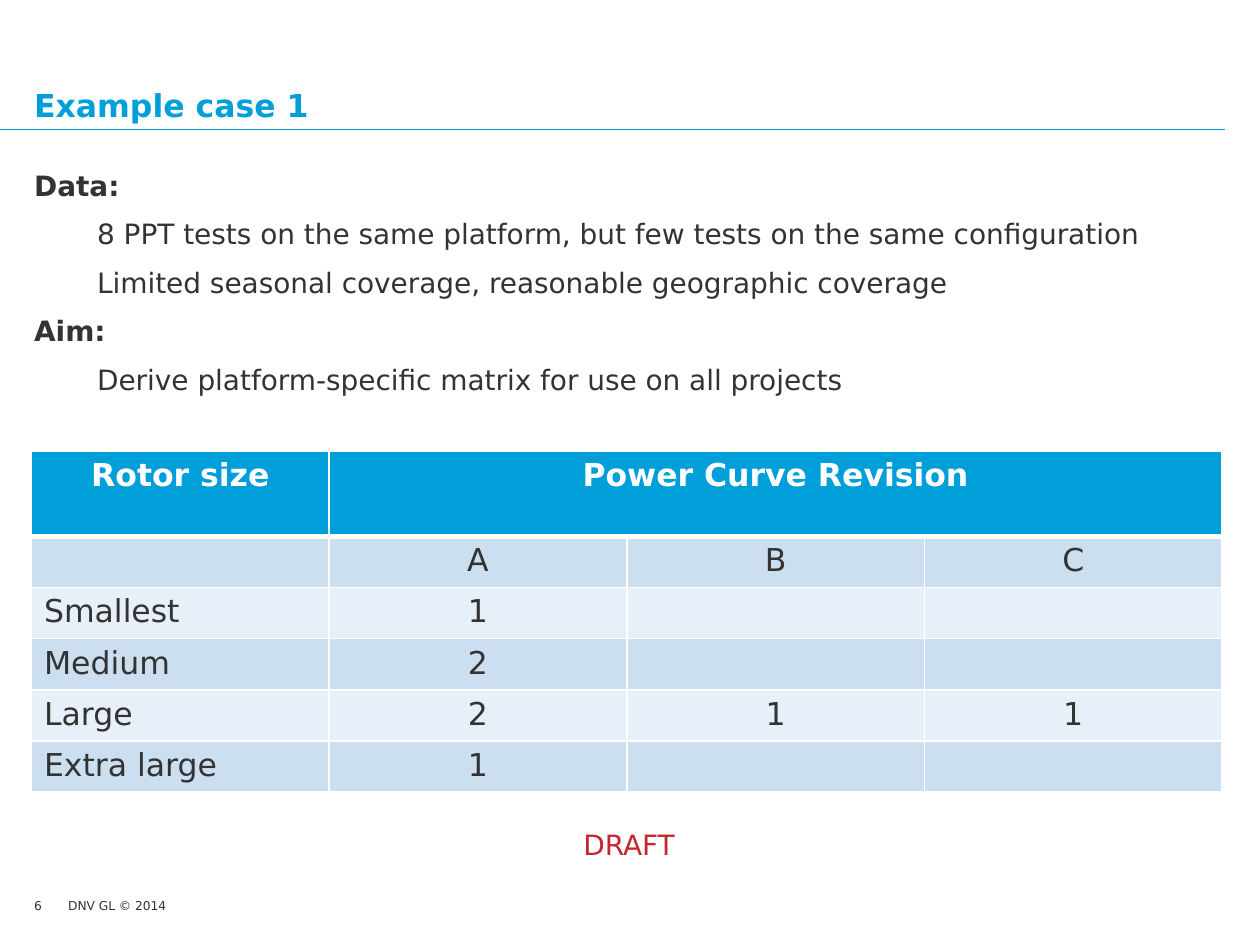
import pptx
import pptx.util
import pptx.dml.color
import pptx.enum.shapes
import pptx.enum.text
import pptx.oxml.ns
from lxml import etree

Pt = pptx.util.Pt
ALIGN = pptx.enum.text.PP_ALIGN
ANCHOR = pptx.enum.text.MSO_ANCHOR
FONT = "DejaVu Sans"
COLORS = {
    "accent": "009FDA",
    "text": "333333",
    "white": "FFFFFF",
    "draft": "C4262E",
    "band_dark": "CCDFF1",
    "band_light": "E7F0F8",
}
BODY = [
    ("Data:", True),
    ("8 PPT tests on the same platform, but few tests on the same configuration", False),
    ("Limited seasonal coverage, reasonable geographic coverage", False),
    ("Aim:", True),
    ("Derive platform-specific matrix for use on all projects", False),
]
ROWS = [
    ["Rotor size", "Power Curve Revision", "", ""],
    ["", "A", "B", "C"],
    ["Smallest", "1", "", ""],
    ["Medium", "2", "", ""],
    ["Large", "2", "1", "1"],
    ["Extra large", "1", "", ""],
]


def rgb(name):
    return pptx.dml.color.RGBColor.from_string(COLORS[name])


def style(p, size, color, bold=False, align=ALIGN.LEFT):
    p.alignment = align
    for font in [p.font] + [r.font for r in p.runs]:
        font.name = FONT
        font.size = Pt(size)
        font.bold = bold
        font.color.rgb = rgb(color)


def add_frame(s, x, y, w, h, wrap=True):
    tf = s.shapes.add_textbox(Pt(x), Pt(y), Pt(w), Pt(h)).text_frame
    tf.word_wrap = wrap
    tf.margin_left = tf.margin_right = tf.margin_top = tf.margin_bottom = 0
    return tf


def add_label(s, box, text, size, color, bold=False, align=ALIGN.LEFT,
              anchor=ANCHOR.TOP, wrap=True):
    tf = add_frame(s, *box, wrap=wrap)
    tf.vertical_anchor = anchor
    tf.text = text
    style(tf.paragraphs[0], size, color, bold, align)


def add_header(s, x, y, w, h):
    add_label(s, (x, y, w, h), "Example case 1", 18, "accent", True,
              anchor=ANCHOR.BOTTOM)
    rule_y = Pt(y + h + 3)
    line = s.shapes.add_connector(pptx.enum.shapes.MSO_CONNECTOR.STRAIGHT,
                                  0, rule_y, Pt(x + w), rule_y)
    line.line.color.rgb = rgb("accent")
    line.line.width = Pt(1)
    etree.SubElement(line._element.spPr, pptx.oxml.ns.qn("a:effectLst"))


def add_body(s, x, y, w, h):
    tf = add_frame(s, x, y, w, h)
    tf.text = "\n".join(text for text, heading in BODY)
    for i, (p, (text, heading)) in enumerate(zip(tf.paragraphs, BODY)):
        p.line_spacing = 1.13
        p.space_before = Pt(6 if i else 0)
        if not heading:
            p.level = 1
            pPr = p._p.get_or_add_pPr()
            pPr.set("marL", str(Pt(36)))
            pPr.set("indent", "0")
        style(p, 16, "text", heading)


def set_borders(cell, widths):
    tcPr = cell._tc.get_or_add_tcPr()
    for side, width in widths.items():
        ln = etree.SubElement(tcPr, pptx.oxml.ns.qn("a:ln" + side), w=str(Pt(width)))
        fill = etree.SubElement(ln, pptx.oxml.ns.qn("a:solidFill"))
        etree.SubElement(fill, pptx.oxml.ns.qn("a:srgbClr"), val=COLORS["white"])


def add_matrix(s, x, y, w, h, header_h):
    n_rows, n_cols = len(ROWS), len(ROWS[0])
    table = s.shapes.add_table(n_rows, n_cols, Pt(x), Pt(y), Pt(w), Pt(h)).table
    for col in table.columns:
        col.width = Pt(w / n_cols)
    for i, row in enumerate(table.rows):
        row.height = Pt((h - header_h) / (n_rows - 1) if i else header_h)
        for j, cell in enumerate(row.cells):
            header = i == 0
            set_borders(cell, {"L": 1, "R": 1, "T": 3 if i == 1 else 1,
                               "B": 3 if header else 1})
            cell.fill.solid()
            band = "band_dark" if i % 2 else "band_light"
            cell.fill.fore_color.rgb = rgb("accent" if header else band)
            cell.text = ROWS[i][j]
            style(cell.text_frame.paragraphs[0], 18, "white" if header else "text",
                  header, ALIGN.CENTER if header or j else ALIGN.LEFT)
    table.cell(0, 1).merge(table.cell(0, n_cols - 1))


def add_footer(s, x, y, w, h):
    add_label(s, (x, y, 19, h), "6", 7, "text")
    add_label(s, (x + 19.5, y, w - 19.5, h), "DNV GL © 2014", 7, "text", wrap=False)


def main():
    prs = pptx.Presentation()
    prs.slide_width, prs.slide_height = Pt(720), Pt(540)
    s = prs.slides.add_slide(prs.slide_layouts[6])
    add_header(s, 19.5, 18.5, 680.5, 52.5)
    add_body(s, 19.5, 93.6, 666, 134)
    add_matrix(s, 18, 258, 680.4, 194.75, 48.5)
    add_label(s, (300, 473, 119, 19), "DRAFT", 16, "draft", align=ALIGN.CENTER)
    add_footer(s, 19.5, 513.4, 77, 9)
    prs.save("out.pptx")


if __name__ == "__main__":
    main()
